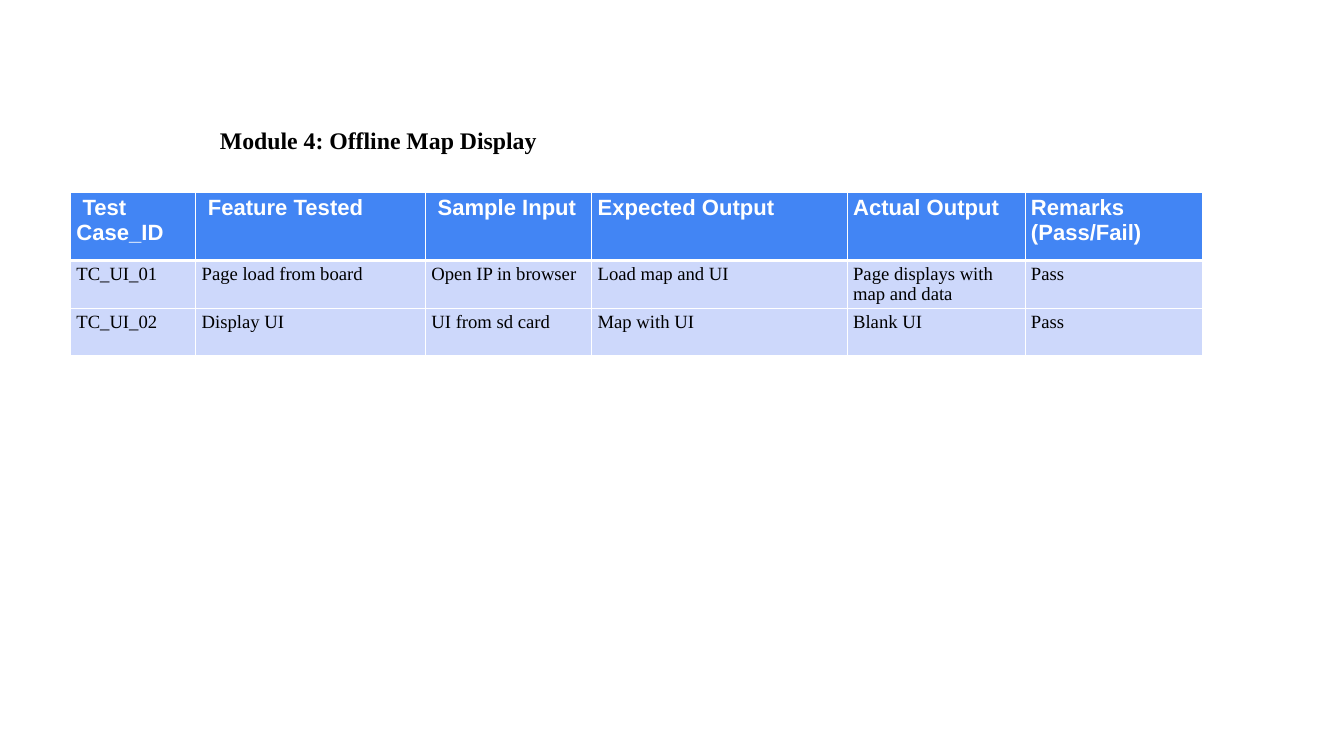
from dataclasses import dataclass

from lxml import etree
from pptx import Presentation
from pptx.dml.color import RGBColor
from pptx.enum.text import MSO_ANCHOR, PP_ALIGN
from pptx.oxml.ns import qn
from pptx.util import Pt

LEFT = PP_ALIGN.LEFT
TOP = MSO_ANCHOR.TOP


@dataclass(frozen=True)
class Theme:
    header_fill: str = "4285F4"
    body_fill: str = "CDD8FB"
    light: str = "FFFFFF"
    dark: str = "000000"
    sans: str = "Arial"
    serif: str = "Times New Roman"
    title_size: float = 28
    header_size: float = 26
    body_size: float = 22
    thin: float = 0.96
    thick: float = 3


@dataclass(frozen=True)
class Column:
    width: float
    heading: str
    cells: tuple[str, ...]
    heading_indent: float = 0


THEME = Theme()
ROW_HEIGHTS = (80, 56.5, 55)
COLUMNS = (
    Column(147.6, "Test Case_ID", ("TC_UI_01", "TC_UI_02"), 7.2),
    Column(270.7, "Feature Tested", ("Page load from board", "Display UI"), 7.2),
    Column(195.8, "Sample Input", ("Open IP in browser", "UI from sd card"), 7.2),
    Column(301, "Expected Output", ("Load map and UI", "Map with UI")),
    Column(209.5, "Actual Output", ("Page displays with map and data", "Blank UI")),
    Column(209.5, "Remarks (Pass/Fail)", ("Pass", "Pass")),
)


def write(tf, text: str, *, size: float, font: str, color: str,
          bold: bool = False, indent: float = 0) -> None:
    tf.word_wrap = True
    p = tf.paragraphs[0]
    p.alignment = LEFT
    if indent:
        p._p.get_or_add_pPr().set("indent", str(Pt(indent)))
    r = p.add_run()
    r.text = text
    r.font.size = Pt(size)
    r.font.name = font
    r.font.bold = bold
    r.font.color.rgb = RGBColor.from_string(color)


def set_borders(cell, top: float, bottom: float) -> None:
    tc_pr = cell._tc.get_or_add_tcPr()
    sides = {"L": THEME.thin, "R": THEME.thin, "T": top, "B": bottom}
    for side, width in sides.items():
        ln = etree.SubElement(tc_pr, qn(f"a:ln{side}"), w=str(Pt(width)))
        fill = etree.SubElement(ln, qn("a:solidFill"))
        etree.SubElement(fill, qn("a:srgbClr"), val=THEME.light)


def format_cell(cell, row: int) -> None:
    cell.margin_left = cell.margin_right = Pt(7.2)
    cell.margin_top = cell.margin_bottom = Pt(3.6)
    cell.vertical_anchor = TOP
    set_borders(cell,
                top=THEME.thick if row == 1 else THEME.thin,
                bottom=THEME.thick if row == 0 else THEME.thin)
    cell.fill.solid()
    fill = THEME.body_fill if row else THEME.header_fill
    cell.fill.fore_color.rgb = RGBColor.from_string(fill)


def add_test_table(s) -> None:
    width = sum(column.width for column in COLUMNS)
    frame = s.shapes.add_table(len(ROW_HEIGHTS), len(COLUMNS), Pt(82.8), Pt(226.8),
                               Pt(width), Pt(sum(ROW_HEIGHTS)))
    table = frame.table
    table.horz_banding = False
    for row, height in enumerate(ROW_HEIGHTS):
        table.rows[row].height = Pt(height)
    for col, column in enumerate(COLUMNS):
        table.columns[col].width = Pt(column.width)
        heading = table.cell(0, col)
        format_cell(heading, 0)
        write(heading.text_frame, column.heading, size=THEME.header_size,
              font=THEME.sans, color=THEME.light, bold=True,
              indent=column.heading_indent)
        for row, text in enumerate(column.cells, start=1):
            cell = table.cell(row, col)
            format_cell(cell, row)
            write(cell.text_frame, text, size=THEME.body_size,
                  font=THEME.serif, color=THEME.dark)


def add_title(s) -> None:
    sp = s.shapes.add_textbox(Pt(252), Pt(145), Pt(882), Pt(38.2))
    write(sp.text_frame, "Module 4: Offline Map Display", size=THEME.title_size,
          font=THEME.serif, color=THEME.dark, bold=True)


def main() -> None:
    prs = Presentation()
    prs.slide_width = Pt(1583.28)
    prs.slide_height = Pt(890.64)
    s = prs.slides.add_slide(prs.slide_layouts[6])
    add_test_table(s)
    add_title(s)
    prs.save("out.pptx")


if __name__ == "__main__":
    main()
